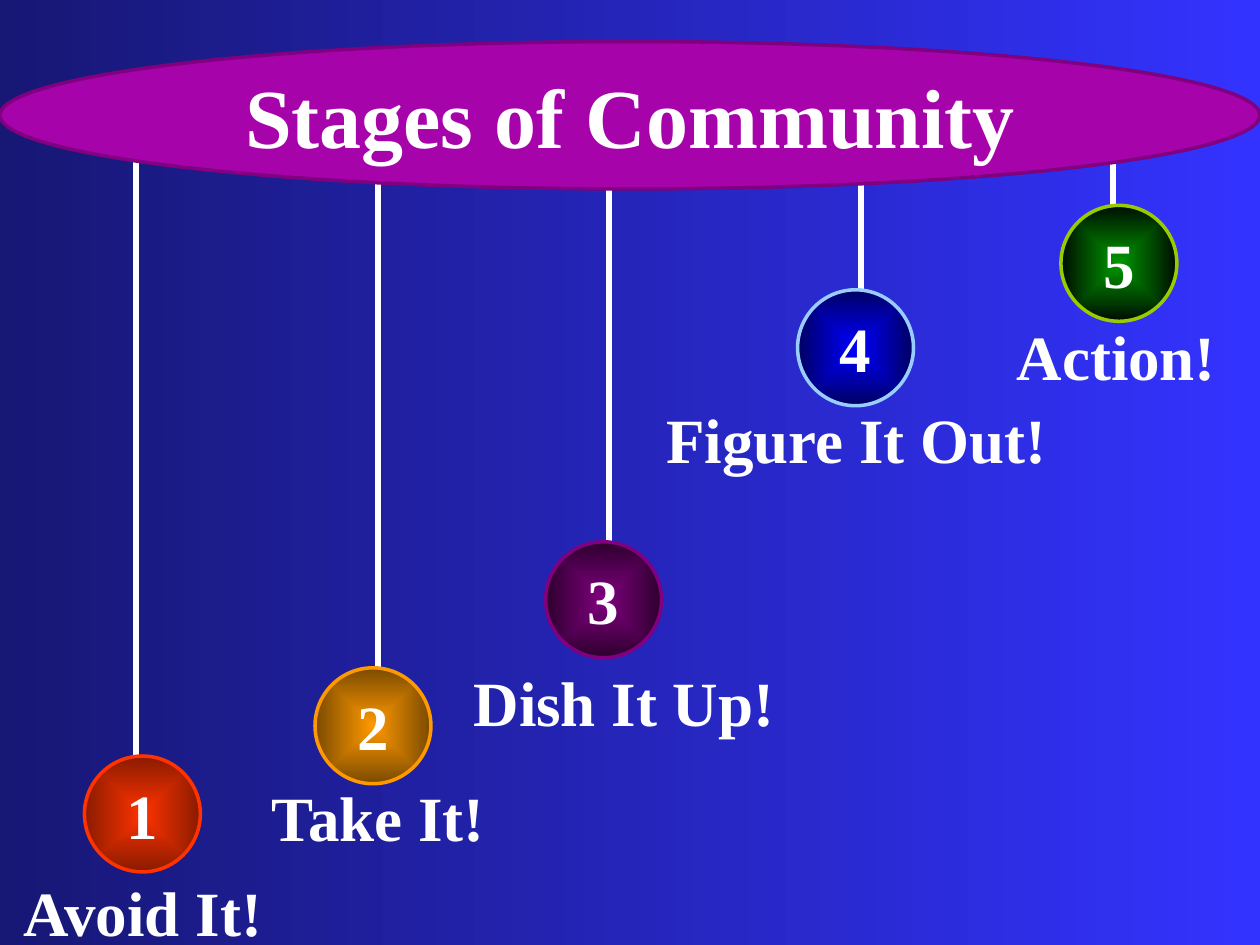
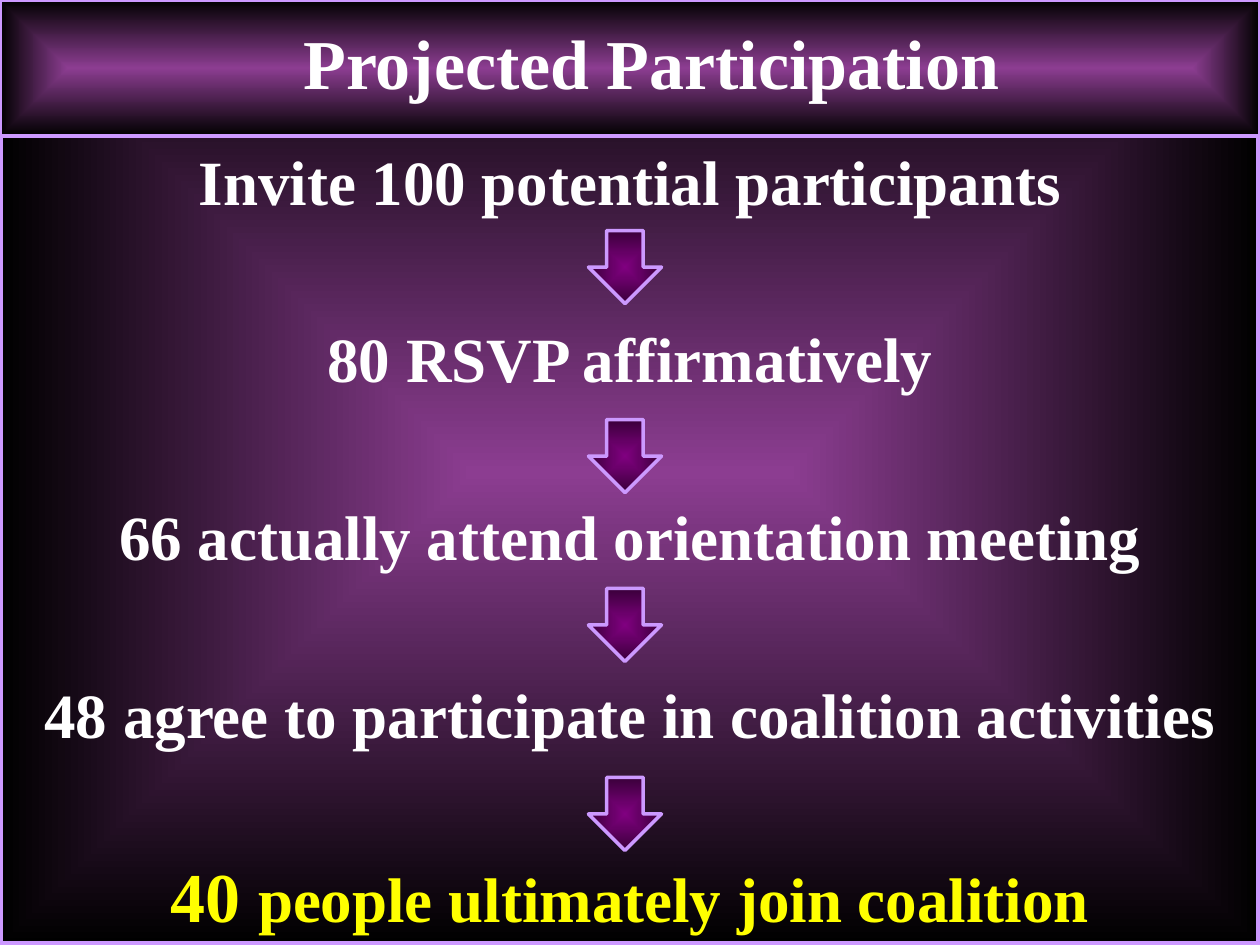
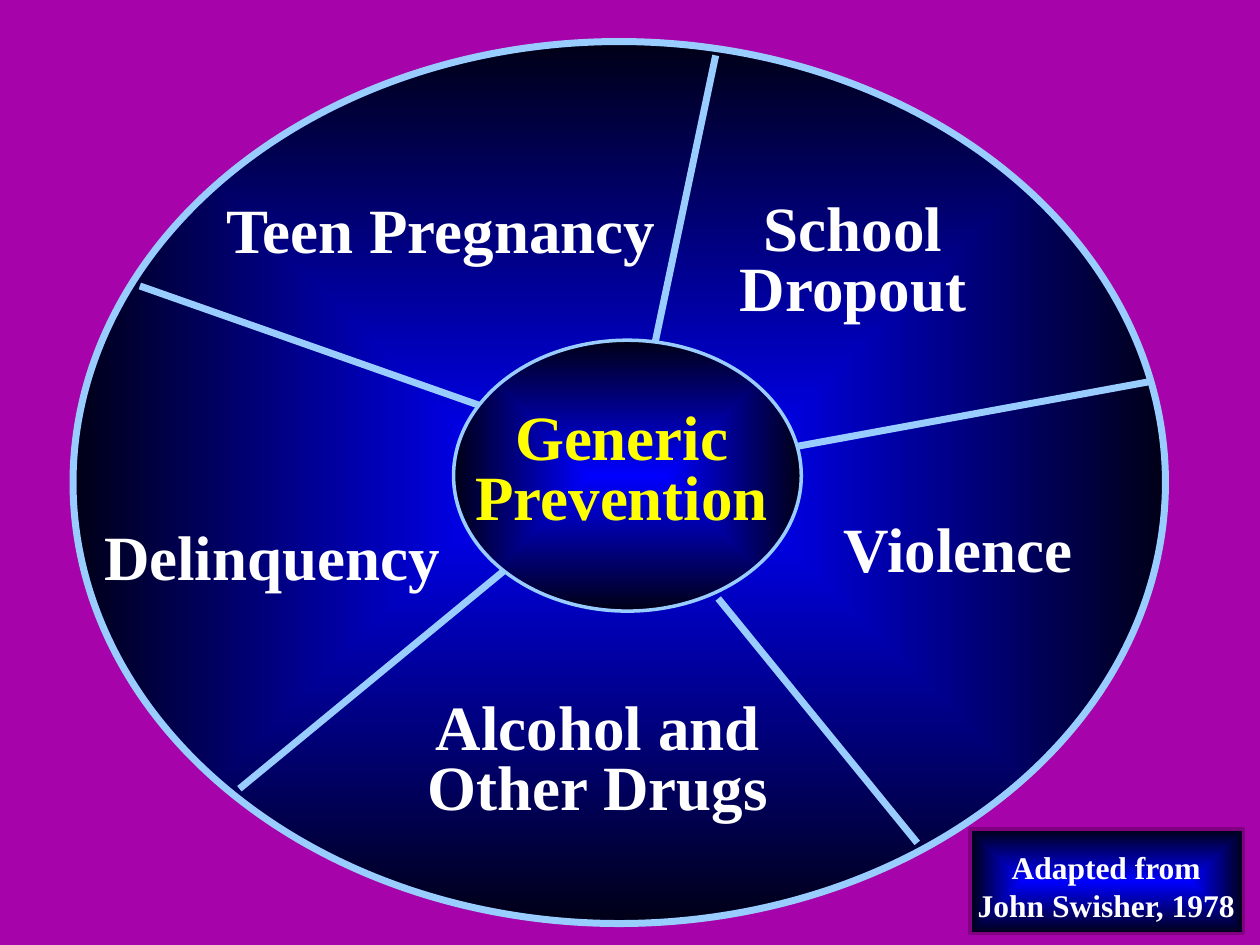
from lxml import etree
from pptx import Presentation
from pptx.dml.color import RGBColor
from pptx.enum import shapes, text
from pptx.oxml.ns import qn
from pptx.util import Inches, Pt

FONT = "Times New Roman"
COLORS = {
    "white": "FFFFFF", "yellow": "FFFF00", "black": "000000",
    "magenta": "A603AB", "purple": "800080", "lilac": "CC99FF",
    "sky": "99CCFF", "blue": "0000FF", "midnight": "000016",
    "plum": "8C3D91", "arrow edge": "3B003B",
    "page light": "3333FF", "page dark": "171775",
    "red": "FF3300", "dark red": "8A1B00",
    "orange": "FF9900", "dark orange": "7B4A00",
    "dark purple": "2E002E", "navy": "000063",
    "green": "009900", "dark green": "000D00", "lime": "99CC00",
}
TITLE_ONLY, BLANK = 5, 6
SHAPE = shapes.MSO_SHAPE


def rgb(name):
    return RGBColor.from_string(COLORS[name])


def inches(*lengths):
    return [Inches(length) for length in lengths]


def fill_gradient(fill, colors):
    fill.gradient()
    for stop, color in zip(fill.gradient_stops, colors):
        stop.color.rgb = rgb(color)


def glow_from_center(shape, colors):
    """Fill with a rectangular gradient that runs from the centre outwards."""
    fill_gradient(shape.fill, colors)
    gradient = shape.element.spPr.find(qn("a:gradFill"))
    gradient.remove(gradient.find(qn("a:lin")))
    glow = etree.SubElement(gradient, qn("a:path"), {"path": "rect"})
    center = dict.fromkeys("ltrb", "50000")
    etree.SubElement(glow, qn("a:fillToRect"), center)


def add_slide(presentation, layout):
    return presentation.slides.add_slide(presentation.slide_layouts[layout])


def set_page_gradient(slide):
    fill = slide.background.fill
    fill_gradient(fill, ("page light", "page dark"))
    fill.gradient_angle = 180


def add_figure(slide, kind, box, colors, line_color, line_width=2):
    shape = slide.shapes.add_shape(kind, *inches(*box))
    shape.shadow.inherit = False
    if len(colors) == 1:
        shape.fill.solid()
        shape.fill.fore_color.rgb = rgb(colors[0])
    else:
        glow_from_center(shape, colors)
    shape.line.color.rgb = rgb(line_color)
    shape.line.width = Pt(line_width)
    return shape


def add_line(slide, start, end, color, width):
    line = slide.shapes.add_connector(
        shapes.MSO_CONNECTOR.STRAIGHT, *inches(*start, *end))
    etree.SubElement(line.element.spPr, qn("a:effectLst"))
    line.line.color.rgb = rgb(color)
    line.line.width = Pt(width)


def write(shape, lines, size=36, color="white", align="CENTER", wrap=False,
          anchor="MIDDLE", spacing=None):
    frame = shape.text_frame
    frame.word_wrap = wrap
    frame.auto_size = text.MSO_AUTO_SIZE.NONE
    frame.vertical_anchor = getattr(text.MSO_ANCHOR, anchor)
    frame.text = lines
    for paragraph in frame.paragraphs:
        paragraph.alignment = getattr(text.PP_ALIGN, align)
        paragraph.line_spacing = spacing
        font = paragraph.font
        font.name, font.size, font.bold = FONT, Pt(size), True
        font.color.rgb = rgb(color)
    return frame


def add_text(slide, box, lines, **style):
    return write(slide.shapes.add_textbox(*inches(*box)), lines, **style)


def place_title(slide, box, words, size):
    """Move the title in front of the shapes drawn so far."""
    title = slide.shapes.title
    title.left, title.top, title.width, title.height = inches(*box)
    write(title, words, size=size, wrap=True)
    slide.shapes.element.append(title.element)


def add_stage(slide, left, top, number, colors, rim, cord, label):
    """Hang a numbered ball; cord and label are offsets from its corner."""
    cord_x, cord_top, cord_end = cord
    words, label_x, label_y, label_width = label
    add_line(slide, (left + cord_x, cord_top),
             (left + cord_x, top + cord_end), "white", 3.5)
    ball = add_figure(slide, SHAPE.DONUT, (left, top, 0.92, 0.92), colors, rim)
    ball.adjustments[0] = 0.5
    write(ball, str(number))
    add_text(slide, (left + label_x, top + label_y, label_width, 0.7), words,
             align="LEFT", anchor="TOP")


def build_stages(presentation):
    slide = add_slide(presentation, TITLE_ONLY)
    set_page_gradient(slide)
    stages = [
        (0.67, 6, ("red", "dark red"), "red",
         (0.41, 1.17, 0.33), ("Avoid It!", -0.58, 0.88, 2.13)),
        (2.5, 5.3, ("orange", "dark orange"), "orange",
         (0.5, 1.25, 0.45), ("Take It!", -0.44, 0.83, 1.93)),
        (4.33, 4.3, ("purple", "dark purple"), "purple",
         (0.5, 1.25, 0.62), ("Dish It Up!", -0.67, 0.92, 2.59)),
        (6.33, 2.3, ("blue", "navy"), "sky",
         (0.5, 0.96, 0), ("Figure It Out!", -1.14, 0.83, 3.22)),
        (8.42, 1.63, ("green", "dark green"), "lime",
         (0.41, 0.88, 0.08), ("Action!", -0.45, 0.84, 1.78)),
    ]
    for number, (left, top, *details) in enumerate(stages, 1):
        add_stage(slide, left, top, number, *details)
    banner = (0, 0.33, 10, 1.17)
    add_figure(slide, SHAPE.OVAL, banner, ("magenta",), "purple")
    place_title(slide, banner, "Stages of Community", 48)


def add_steps(slide, left, top, width):
    steps = [
        "Invite 100 potential participants",
        "80 RSVP affirmatively",
        "66 actually attend orientation meeting",
        "48 agree to participate in coalition activities",
    ]
    pitch = 1.41
    for index, step in enumerate(steps):
        add_text(slide, (left, top + index * pitch, width, 0.7), step,
                 wrap=True, anchor="TOP")
    result_top = top + len(steps) * pitch
    result = add_text(slide, (left, result_top, width, 0.77), "40 ",
                      color="yellow", wrap=True, anchor="TOP").paragraphs[0]
    result.runs[0].font.size = Pt(40)
    result.add_run().text = "people ultimately join coalition"
    for offset in (0.75, 2.25, 3.59, 5.09):
        add_figure(slide, SHAPE.DOWN_ARROW,
                   (left + 4.67, top + offset, 0.58, 0.58),
                   ("purple", "arrow edge"), "lilac")


def build_participation(presentation):
    slide = add_slide(presentation, TITLE_ONLY)
    set_page_gradient(slide)
    banner_height = 1.08
    for height, line_width in ((7.5, 4), (banner_height, 2)):
        add_figure(slide, SHAPE.RECTANGLE, (0, 0, 10, height),
                   ("plum", "black"), "lilac", line_width)
    place_title(slide, (0.17, 0.1, 10, 0.77), "Projected Participation", 40)
    add_steps(slide, 0, banner_height, 10)


def add_wheel(slide, left, top, width, height):
    colors = ("blue", "midnight")
    add_figure(slide, SHAPE.OVAL, (left, top, width, height), colors, "sky", 4)
    spokes = [
        ((5.1, 0.11), (4.6, 2.48)),
        ((0.53, 1.94), (3.29, 2.91)),
        ((8.54, 2.7), (5.65, 3.23)),
        ((6.7, 6.36), (5.12, 4.42)),
        ((1.32, 5.93), (3.42, 4.2)),
    ]
    for spoke in spokes:
        start, end = [(left + x, top + y) for x, y in spoke]
        add_line(slide, start, end, "sky", 4)
    add_figure(slide, SHAPE.OVAL, (left + 3.02, top + 2.37, 2.76, 2.15),
               colors, "sky")
    labels = [
        ("Teen Pregnancy", 1.09, 1.25, 3.66, 0.58, "white"),
        ("Alcohol and\nOther Drugs", 2.71, 5.19, 2.91, 1.06, "white"),
        ("Delinquency", 0.15, 3.84, 2.86, 0.58, "white"),
        ("Violence", 6.01, 3.78, 2.03, 0.58, "white"),
        ("School\nDropout", 5.19, 1.23, 2, 1.06, "white"),
        ("Generic\nPrevention", 3.09, 2.89, 2.53, 1.06, "yellow"),
    ]
    for words, x, y, label_width, label_height, color in labels:
        add_text(slide, (left + x, top + y, label_width, label_height), words,
                 color=color, spacing=0.8)


def add_credit(slide, left, top, width, height):
    add_figure(slide, SHAPE.RECTANGLE, (left, top, width, height),
               ("blue", "midnight"), "purple")
    add_text(slide, (left - 0.05, top + 0.1, width + 0.09, 0.7),
             "Adapted from\nJohn Swisher, 1978", size=18)


def build_prevention(presentation):
    slide = add_slide(presentation, BLANK)
    slide.background.fill.solid()
    slide.background.fill.fore_color.rgb = rgb("magenta")
    add_wheel(slide, 0.58, 0.33, 8.67, 7)
    add_credit(slide, 7.7, 6.58, 2.17, 0.83)


def main():
    presentation = Presentation()
    presentation.slide_width, presentation.slide_height = inches(10, 7.5)
    build_stages(presentation)
    build_participation(presentation)
    build_prevention(presentation)
    presentation.save("out.pptx")


if __name__ == "__main__":
    main()
